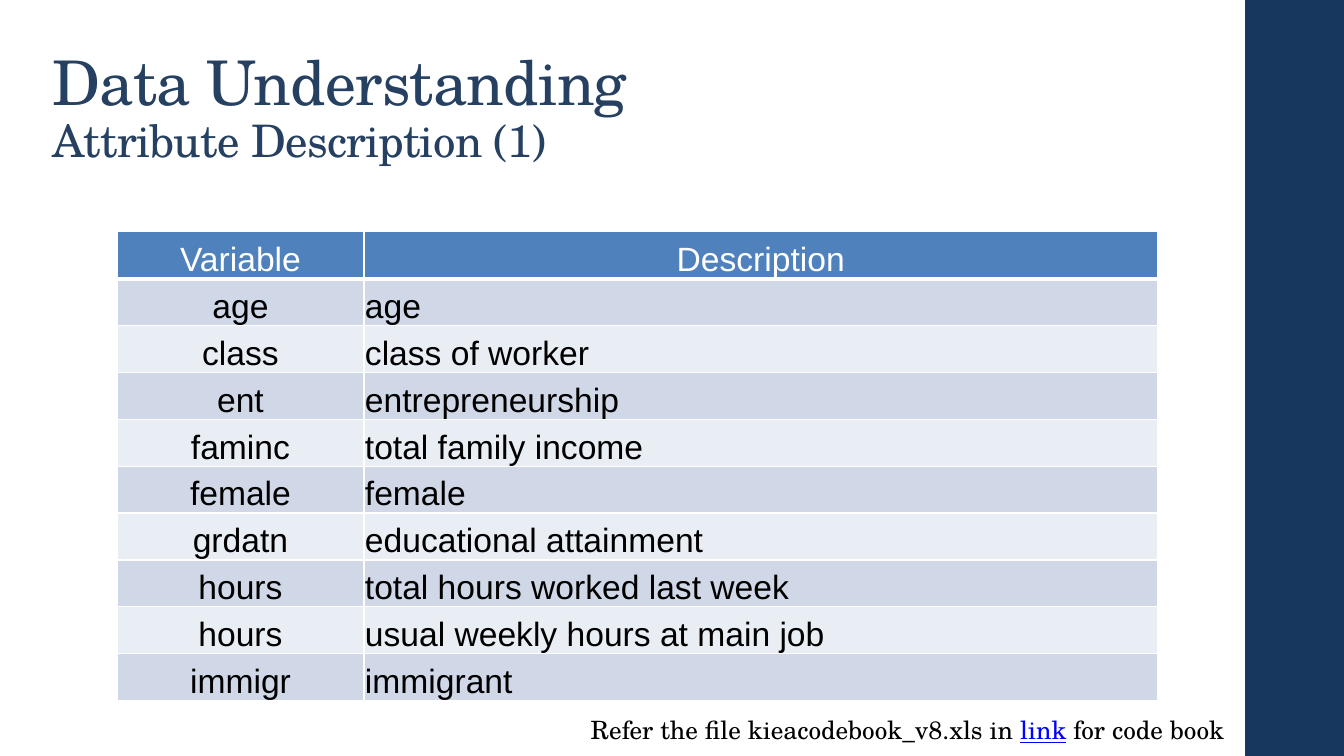
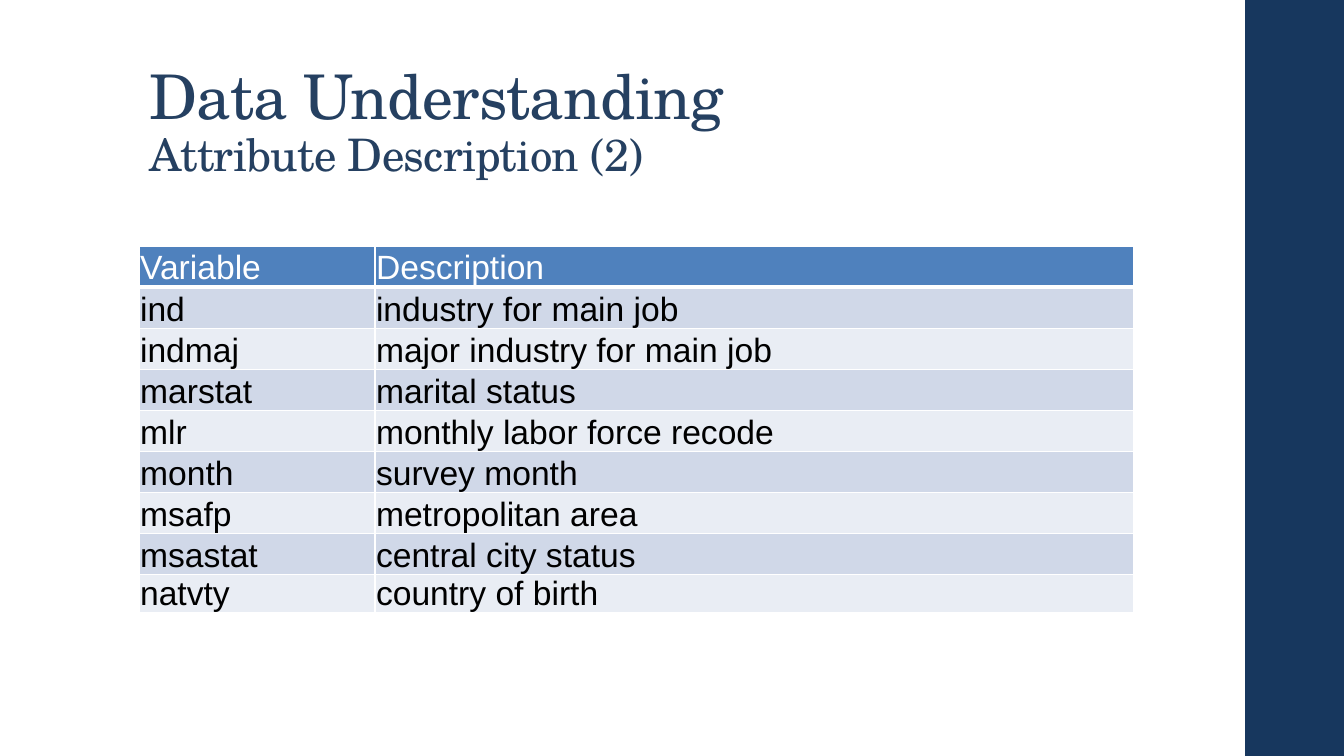
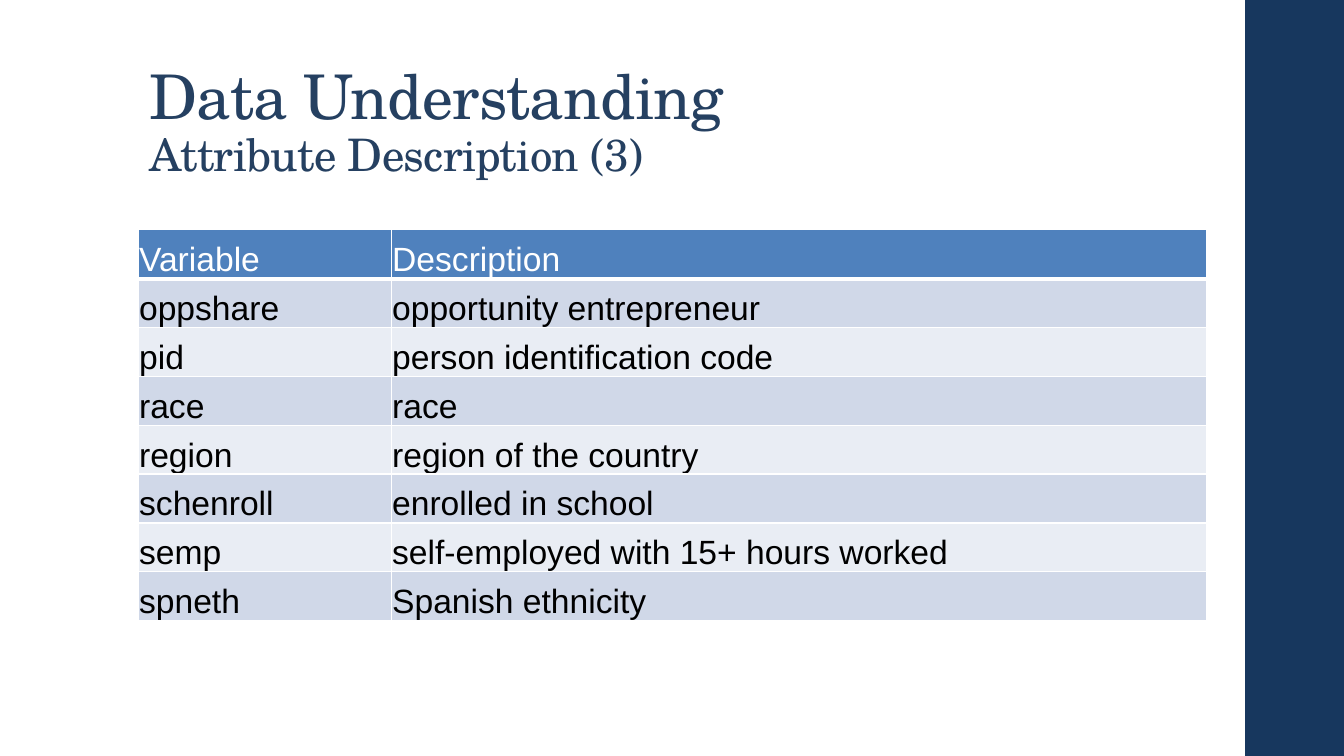
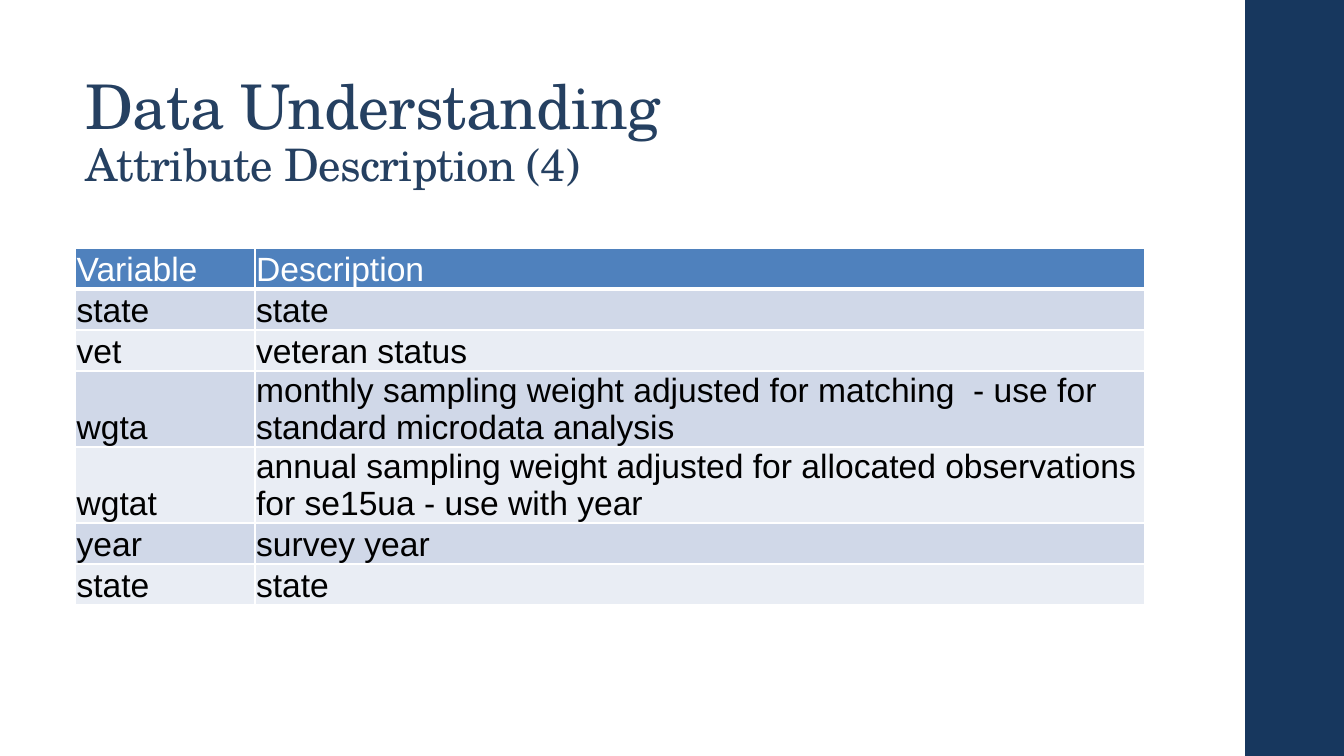
from dataclasses import dataclass

from lxml import etree
from pptx import Presentation
from pptx.dml.color import RGBColor
from pptx.enum import shapes, text
from pptx.oxml import ns
from pptx.util import Inches, Pt


@dataclass(frozen=True)
class Theme:
    """Colours, fonts and type sizes shared by all slides."""
    band: str = "17375E"
    title: str = "254061"
    head: str = "4F81BD"
    odd: str = "D0D8E8"
    even: str = "E9EDF4"
    white: str = "FFFFFF"
    black: str = "000000"
    link: str = "0000FF"
    serif: str = "TeX Gyre Schola"
    sans: str = "Arial"
    big: int = 44
    sub: int = 32
    cell: int = 24
    note: int = 18
    thin: int = 1
    thick: int = 3


def style(run, font, size, color):
    run.font.name = font
    run.font.size = Pt(size)
    run.font.bold = False
    run.font.color.rgb = RGBColor.from_string(color)


def edge(cell, side, width, color):
    """Draw one border of a cell."""
    props = cell._tc.get_or_add_tcPr()
    line = etree.SubElement(props, ns.qn(f"a:ln{side}"), w=str(Pt(width)))
    fill = etree.SubElement(line, ns.qn("a:solidFill"))
    etree.SubElement(fill, ns.qn("a:srgbClr"), val=color)


class Deck:
    def __init__(self, theme):
        self.theme = theme
        self.prs = Presentation()
        self.prs.slide_width = Inches(13.33)
        self.prs.slide_height = Inches(7.5)
        self.slide = None

    def start(self, part, left, top, width):
        """Open a slide with the side band and the two-line title."""
        self.slide = self.prs.slides.add_slide(self.prs.slide_layouts[5])
        self.band()
        self.title(f"Data Understanding\vAttribute Description ({part})",
                   left, top, width)

    def band(self):
        left = Inches(12.35)
        band = self.slide.shapes.add_shape(
            shapes.MSO_SHAPE.RECTANGLE, left, 0,
            self.prs.slide_width - left, self.prs.slide_height)
        band.shadow.inherit = False
        band.fill.solid()
        band.fill.fore_color.rgb = RGBColor.from_string(self.theme.band)
        band.line.fill.background()

    def title(self, words, left, top, width):
        box = self.slide.shapes.title
        box.left, box.top = Inches(left), Inches(top)
        box.width, box.height = Inches(width), Inches(1.45)
        frame = box.text_frame
        frame.text = words
        frame.auto_size = text.MSO_AUTO_SIZE.NONE
        frame.vertical_anchor = text.MSO_ANCHOR.BOTTOM
        para = frame.paragraphs[0]
        para.alignment = text.PP_ALIGN.LEFT
        para.line_spacing = 0.9
        for run, size in zip(para.runs, (self.theme.big, self.theme.sub)):
            style(run, self.theme.serif, size, self.theme.title)
            run._r.get_or_add_rPr().set("spc", "-50")

    def table(self, rows, left, top, height, cols, aligns=("l", "l"), last=None):
        """Add a banded table; aligns covers the header and the first column."""
        rows = [("Variable", "Description"), *rows]
        table = self.slide.shapes.add_table(
            len(rows), len(cols), Inches(left), Inches(top),
            Inches(sum(cols)), Inches(height)).table
        for col, width in zip(table.columns, cols):
            col.width = Inches(width)
        for row in table.rows:
            row.height = Inches(height / len(rows))
        if last:
            table.rows[len(rows) - 1].height = Inches(last)
        for r, row in enumerate(rows):
            for c, words in enumerate(row):
                align = aligns[0] if r == 0 else aligns[1] if c == 0 else "l"
                self.cell(table.cell(r, c), words, r, align)

    def cell(self, cell, words, row, align):
        theme = self.theme
        cell.margin_left = cell.margin_right = cell.margin_top = Inches(0.01)
        cell.margin_bottom = 0
        cell.vertical_anchor = text.MSO_ANCHOR.BOTTOM
        # The rule under the header is the thick one
        for side in "LRTB":
            heavy = (row, side) in ((0, "B"), (1, "T"))
            edge(cell, side, theme.thick if heavy else theme.thin, theme.white)
        cell.fill.solid()
        fill = theme.head if row == 0 else theme.odd if row % 2 else theme.even
        cell.fill.fore_color.rgb = RGBColor.from_string(fill)
        para = cell.text_frame.paragraphs[0]
        para.text = words
        para.alignment = (text.PP_ALIGN.CENTER if align == "c"
                          else text.PP_ALIGN.LEFT)
        style(para.runs[0], theme.sans, theme.cell,
              theme.black if row else theme.white)

    def note(self, before, link, after, left, top, width):
        """Add a line of text with an underlined link word."""
        box = self.slide.shapes.add_textbox(
            Inches(left), Inches(top), Inches(width), Inches(0.4))
        box.text_frame.word_wrap = True
        para = box.text_frame.paragraphs[0]
        for words in (before, link, after):
            run = para.add_run()
            run.text = words
            color = self.theme.link if words == link else self.theme.black
            style(run, self.theme.serif, self.theme.note, color)
            run.font.underline = words == link


def main():
    deck = Deck(Theme())

    # Part 1: person and work
    deck.start(1, 0.42, 0.26, 11.3)
    deck.table([
        ("age", "age"),
        ("class", "class of worker"),
        ("ent", "entrepreneurship"),
        ("faminc", "total family income"),
        ("female", "female"),
        ("grdatn", "educational attainment"),
        ("hours", "total hours worked last week"),
        ("hours", "usual weekly hours at main job"),
        ("immigr", "immigrant"),
    ], 1.16, 2.3, 4.65, (2.45, 7.87), aligns=("c", "c"))
    deck.note("Refer the file kieacodebook_v8.xls in ", "link",
              " for code book", 5.76, 7.04, 6.98)

    # Part 2: industry and place
    deck.start(2, 1.38, 0.4, 10.6)
    deck.table([
        ("ind", "industry for main job"),
        ("indmaj", "major industry for main job"),
        ("marstat", "marital status"),
        ("mlr", "monthly labor force recode"),
        ("month", "survey month"),
        ("msafp", "metropolitan area"),
        ("msastat", "central city status"),
        ("natvty", "country of birth"),
    ], 1.38, 2.44, 3.67, (2.34, 7.52), last=0.28)

    # Part 3: background
    deck.start(3, 1.38, 0.4, 10.6)
    deck.table([
        ("oppshare", "opportunity entrepreneur"),
        ("pid", "person identification code"),
        ("race", "race"),
        ("region", "region of the country"),
        ("schenroll", "enrolled in school"),
        ("semp", "self-employed with 15+ hours worked"),
        ("spneth", "Spanish ethnicity"),
    ], 1.37, 2.28, 3.88, (2.51, 8.09))

    # Part 4: weights and survey
    deck.start(4, 0.75, 0.5, 10.6)
    deck.table([
        ("state", "state"),
        ("vet", "veteran status"),
        ("wgta", "monthly sampling weight adjusted for matching  - use for "
                 "standard microdata analysis"),
        ("wgtat", "annual sampling weight adjusted for allocated observations "
                  "for se15ua - use with year"),
        ("year", "survey year"),
        ("state", "state"),
    ], 0.75, 2.46, 2.85, (1.78, 8.82))

    deck.prs.save("out.pptx")


if __name__ == "__main__":
    main()
